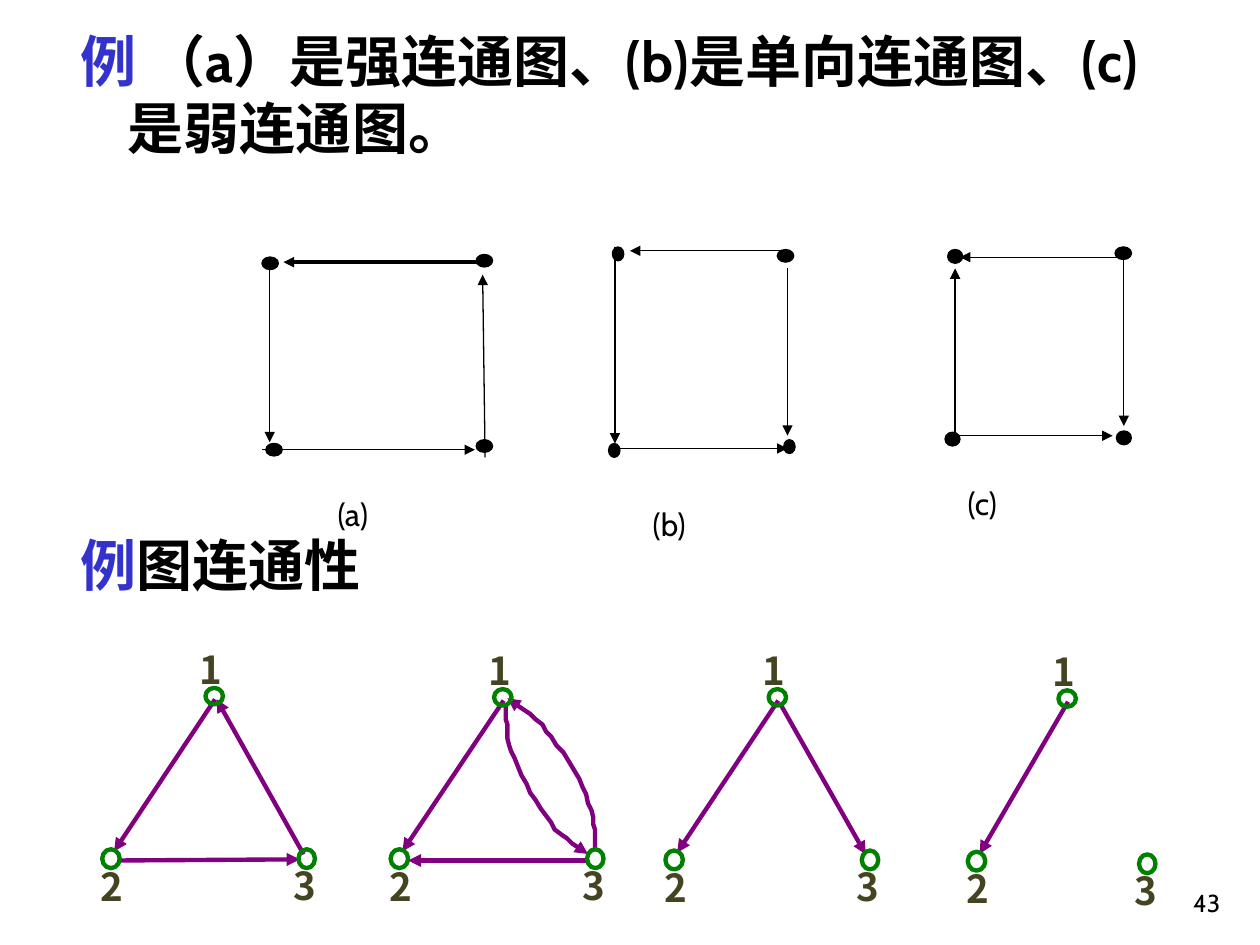
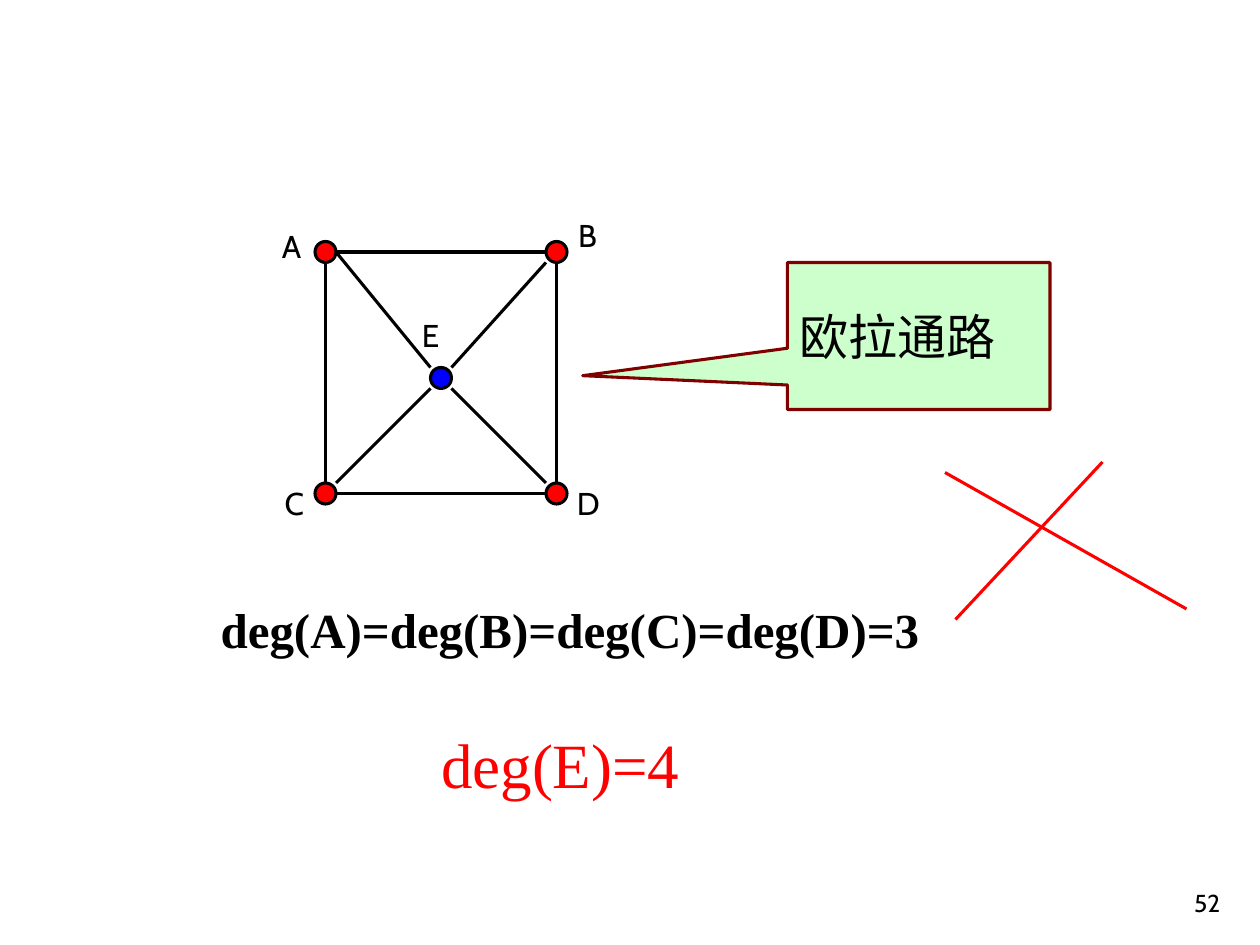
import pptx
import pptx.util
import pptx.dml.color
import pptx.enum.shapes
import pptx.enum.text
import pptx.oxml.ns
from dataclasses import dataclass
from lxml import etree

Pt = pptx.util.Pt
SHAPE = pptx.enum.shapes.MSO_SHAPE
ALIGN = pptx.enum.text.PP_ALIGN
ANCHOR = pptx.enum.text.MSO_ANCHOR


@dataclass(frozen=True)
class Theme:
    ink: str = "000000"
    keyword: str = "3333CC"
    ring: str = "008000"
    arc: str = "800080"
    digit: str = "444322"
    red: str = "FF0000"
    blue: str = "0000FF"
    callout_fill: str = "CCFFCC"
    callout_edge: str = "800000"
    body_font: str = "Cabin"
    digit_font: str = "Noto Sans CJK SC"
    formula_font: str = "Times New Roman"
    heading_size: int = 32
    formula_size: int = 28
    result_size: int = 36
    digit_size: int = 22
    label_size: int = 18
    page_size: int = 14
    thin: float = 0.75
    medium: float = 1.75
    bold_arrow: float = 2
    thick: float = 2.5


THEME = Theme()

HEADINGS = [
    ("例 ", "（a）是强连通图、(b)是单向连通图、(c)是弱连通图。", (39, 11.5, 633, 105)),
    ("例", "图连通性", (39, 299.5, 612, 105)),
]
CORNER_DOT = (9.4, 7.2)
SQUARES = [
    {
        "caption": "(a)", "caption_at": (185.8, 279.4), "dot": (9.4, 7.2),
        "dots": [(154.4, 150.5), (156.6, 257), (276.8, 254.9)], "corner": (276.8, 149),
        "arrows": [((154.1, 147), (154.1, 252.7)), ((149.8, 257), (271.4, 257)),
                   ((277.2, 261.4), (275.8, 157))],
        "top": ((275.8, 149.8), (162, 149.8)), "top_width": THEME.bold_arrow,
    },
    {
        "caption": "(b)", "caption_at": (365.8, 285.1), "dot": (6.5, 7.9),
        "dots": [(353.2, 145.1), (351, 257.4), (451.1, 255.2)], "corner": (448.9, 146.2),
        "arrows": [((351.4, 141), (351.4, 253.4)), ((349.2, 256.3), (450, 256.3)),
                   ((450, 153.4), (450, 249))],
        "top": ((450, 143.3), (360, 143.3)), "top_width": THEME.thin,
    },
    {
        "caption": "(c)", "caption_at": (545.8, 272.9), "dot": (8.6, 7.9),
        "dots": [(545.8, 146.5), (544.3, 250.9), (642.2, 250.2)], "corner": (641.9, 144.7),
        "arrows": [((642.2, 141), (642.2, 243.4)), ((545.8, 249), (635.8, 249)),
                   ((545.8, 249), (545.8, 153.4))],
        "top": ((638.6, 147), (548.6, 147)), "top_width": THEME.thin,
    },
]

TRIANGLES = [
    ({"1": (122.4, 397.8), "2": (63.4, 490.7), "3": (175.3, 490.7)}, ["12", "23", "31"], []),
    ({"1": (287.3, 398.5), "2": (228.2, 490.7), "3": (340.2, 490.7)}, ["12", "32"], [
        [(289.4, 403.2), (289.4, 413.3), (289.4, 422.6), (293.8, 433.4),
         (298.1, 445), (308.2, 460.8), (314.6, 470.2),
         (321.8, 479.5), (332.6, 485.3), (336.2, 488.2)],
        [(339.8, 485.3), (339.8, 475.9), (339.8, 465.8), (334.8, 454.3),
         (330.5, 443.5), (319.7, 427), (312.5, 417.6),
         (305.3, 408.2), (293.8, 401.8), (290.2, 398.9)],
    ]),
    ({"1": (444.2, 398.5), "2": (385.2, 491.4), "3": (497.2, 491.4)}, ["12", "13"], []),
    ({"1": (609.8, 399.2), "2": (558, 492.1), "3": (655.6, 493.6)}, ["12"], []),
]
RING_SIZES = {"1": (10, 9.4), "2": (10, 10.8), "3": (9.4, 10.8)}
DIGIT_OFFSETS = {"1": (-15.5, -29.2), "2": (-12.8, 1.8), "3": (-14.6, 1.2)}
ARC_TRIMS = {
    "12": ((0.5, 1.8), (1.8, -4.2)),
    "13": ((1.4, 3.2), (-2.5, -3.2)),
    "23": ((5, 1), (-4, 0.4)),
    "31": ((-1.8, -2.5), (1.4, 1.8)),
    "32": ((-4, 1), (5, 1)),
}

VERTEX_RADIUS = 6
VERTICES = {
    "A": ((186, 144), (154, 126), THEME.red),
    "B": ((318, 144), (323.3, 120), THEME.red),
    "C": ((186, 282), (155.5, 273), THEME.red),
    "D": ((318, 282), (322.6, 273), THEME.red),
    "E": ((252, 216), (234, 177), THEME.blue),
}
EDGES = ["AB", "AC", "CD", "BD", "AE", "ED", "CE", "EB"]
EDGE_STARTS = {"AE": (1, 0)}
CROSS = [((540, 270), (678, 348)), ((546, 354), (630, 264))]
FORMULAS = [
    ("deg(A)=deg(B)=deg(C)=deg(D)=3", (119, 339, 529, 41),
     dict(size=THEME.formula_size, bold=True)),
    ("deg(E)=4", (245, 411, 241, 50), dict(size=THEME.result_size, color=THEME.red)),
]


def rgb(color):
    return pptx.dml.color.RGBColor.from_string(color)


def shift(point, offset, scale=1):
    return tuple(p + scale * o for p, o in zip(point, offset))


def sign(value):
    return (value > 0) - (value < 0)


def write(slide, text, box=None, *, holder=None, size=THEME.label_size, font=THEME.body_font,
          color=THEME.ink, bold=False, align=ALIGN.LEFT, anchor=ANCHOR.TOP, wrap=True,
          hanging=0, spacing=None):
    holder = holder or slide.shapes.add_textbox(*map(Pt, box))
    frame = holder.text_frame
    frame.word_wrap = wrap
    frame.vertical_anchor = anchor
    paragraph = frame.paragraphs[0]
    paragraph.alignment = align
    if spacing:
        paragraph.line_spacing = spacing
    if hanging:
        properties = paragraph._p.get_or_add_pPr()
        properties.set("marL", str(Pt(hanging)))
        properties.set("indent", str(-Pt(hanging)))
    for words, run_color in [(text, color)] if isinstance(text, str) else text:
        run = paragraph.add_run()
        run.text = words
        run.font.size = Pt(size)
        run.font.name = font
        run.font.bold = bold
        run.font.color.rgb = rgb(run_color)


def paint(shape, fill, line, width):
    shape.shadow.inherit = False
    if fill:
        shape.fill.solid()
        shape.fill.fore_color.rgb = rgb(fill)
    else:
        shape.fill.background()
    shape.line.color.rgb = rgb(line)
    shape.line.width = Pt(width)


def add_arrowhead(shape):
    etree.SubElement(shape.line._get_or_add_ln(), pptx.oxml.ns.qn("a:tailEnd"), type="triangle")


def ellipse(slide, center, size, fill, line, width):
    left, top = shift(center, size, -0.5)
    paint(slide.shapes.add_shape(SHAPE.OVAL, *map(Pt, (left, top, *size))), fill, line, width)


def connect(slide, start, end, color=THEME.ink, width=THEME.thin, arrow=False):
    link = slide.shapes.add_connector(
        pptx.enum.shapes.MSO_CONNECTOR.STRAIGHT, *map(Pt, (*start, *end)))
    link.line.color.rgb = rgb(color)
    link.line.width = Pt(width)
    if arrow:
        add_arrowhead(link)
    etree.SubElement(link._element.spPr, pptx.oxml.ns.qn("a:effectLst"))


def bezier(controls, t):
    weights = ((1 - t) ** 3, 3 * t * (1 - t) ** 2, 3 * t * t * (1 - t), t ** 3)
    return tuple(sum(w * c for w, c in zip(weights, axis)) for axis in zip(*controls))


def curve(slide, controls, steps=8):
    points = [bezier(controls[i:i + 4], step / steps)
              for i in range(0, len(controls) - 1, 3) for step in range(1, steps + 1)]
    builder = slide.shapes.build_freeform(*controls[0], scale=Pt(1))
    builder.add_line_segments(points, close=False)
    arc = builder.convert_to_shape()
    paint(arc, None, THEME.arc, THEME.thick)
    add_arrowhead(arc)


def draw_square(slide, square):
    for start, end in square["arrows"]:
        connect(slide, start, end, arrow=True)
    connect(slide, *square["top"], width=square["top_width"], arrow=True)
    sized_dots = [(dot, square["dot"]) for dot in square["dots"]]
    for center, size in sized_dots + [(square["corner"], CORNER_DOT)]:
        ellipse(slide, center, size, THEME.ink, THEME.ink, THEME.thin)
    write(slide, square["caption"], (*square["caption_at"], 48, 29))


def draw_triangle(slide, nodes, arcs, curves):
    for arc in arcs:
        start, end = (shift(nodes[n], trim) for n, trim in zip(arc, ARC_TRIMS[arc]))
        connect(slide, start, end, THEME.arc, THEME.thick, arrow=True)
    for controls in curves:
        curve(slide, controls)
    for digit, center in nodes.items():
        ellipse(slide, center, RING_SIZES[digit], None, THEME.ring, THEME.thick)
        write(slide, digit, (*shift(center, DIGIT_OFFSETS[digit]), 31, 31), bold=True,
              size=THEME.digit_size, font=THEME.digit_font, color=THEME.digit, spacing=0.9)


def add_page(deck, number):
    slide = deck.slides.add_slide(deck.slide_layouts[6])
    write(slide, number, (554.4, 492, 150, 36), size=THEME.page_size,
          align=ALIGN.RIGHT, anchor=ANCHOR.BOTTOM)
    return slide


def build_connectivity(deck):
    slide = add_page(deck, "43")
    for keyword, statement, box in HEADINGS:
        write(slide, [(keyword, THEME.keyword), (statement, THEME.ink)], box,
              size=THEME.heading_size, bold=True, hanging=27)
    for square in SQUARES:
        draw_square(slide, square)
    for triangle in TRIANGLES:
        draw_triangle(slide, *triangle)


def build_euler(deck):
    slide = add_page(deck, "52")
    for name, (center, label_at, fill) in VERTICES.items():
        ellipse(slide, center, (2 * VERTEX_RADIUS,) * 2, fill, THEME.ink, THEME.medium)
        write(slide, name, (*label_at, 26, 29), wrap=False)
    for edge in EDGES:
        start, end = (VERTICES[name][0] for name in edge)
        heading = tuple(sign(e - s) for s, e in zip(start, end))
        connect(slide, shift(start, EDGE_STARTS.get(edge, heading), VERTEX_RADIUS),
                shift(end, heading, -VERTEX_RADIUS), width=THEME.medium)
    callout = slide.shapes.add_shape(
        SHAPE.RECTANGULAR_CALLOUT, *map(Pt, (450, 150, 150, 84)))
    callout.adjustments[0], callout.adjustments[1] = -1.28, 0.27
    paint(callout, THEME.callout_fill, THEME.callout_edge, THEME.medium)
    write(slide, "欧拉通路", holder=callout, size=THEME.formula_size, anchor=ANCHOR.MIDDLE)
    for formula, box, style in FORMULAS:
        write(slide, formula, box, font=THEME.formula_font, **style)
    for start, end in CROSS:
        connect(slide, start, end, THEME.red, THEME.medium)


def main():
    deck = pptx.Presentation()
    deck.slide_width, deck.slide_height = Pt(720), Pt(540)
    build_connectivity(deck)
    build_euler(deck)
    deck.save("out.pptx")


if __name__ == "__main__":
    main()
